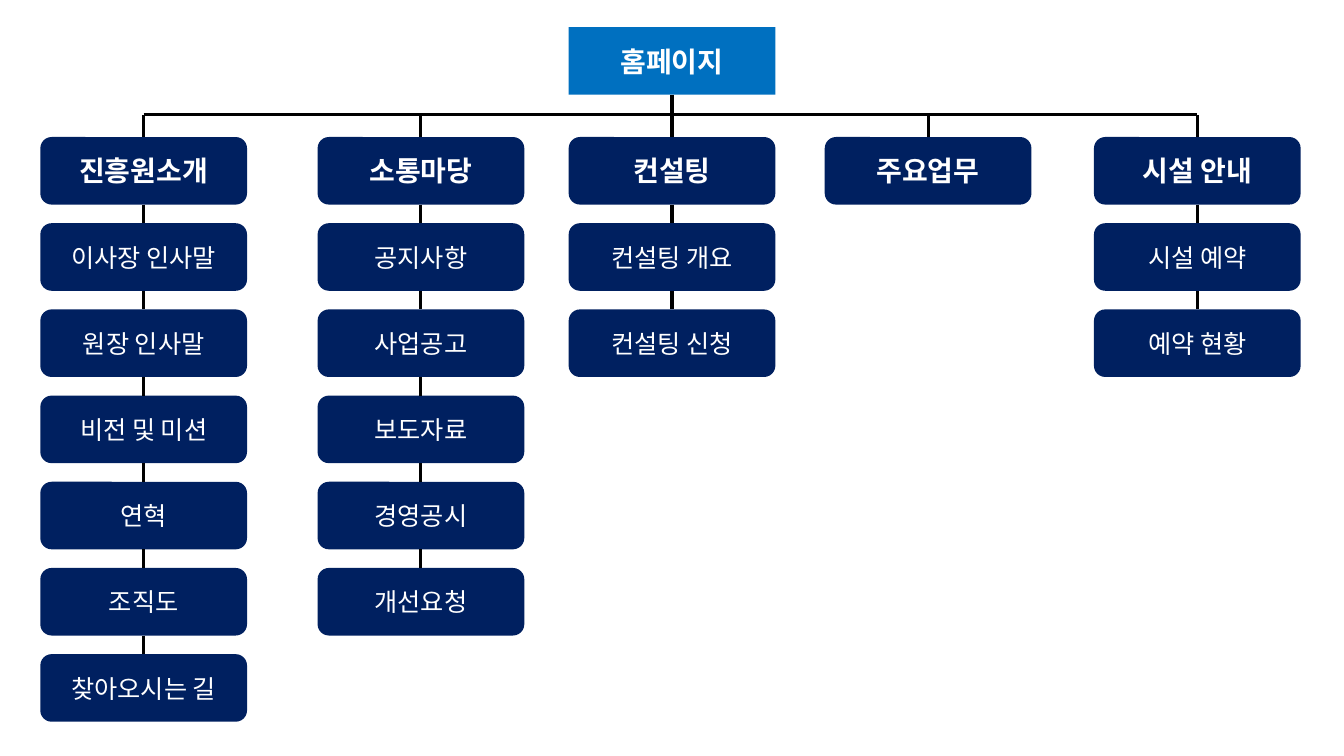
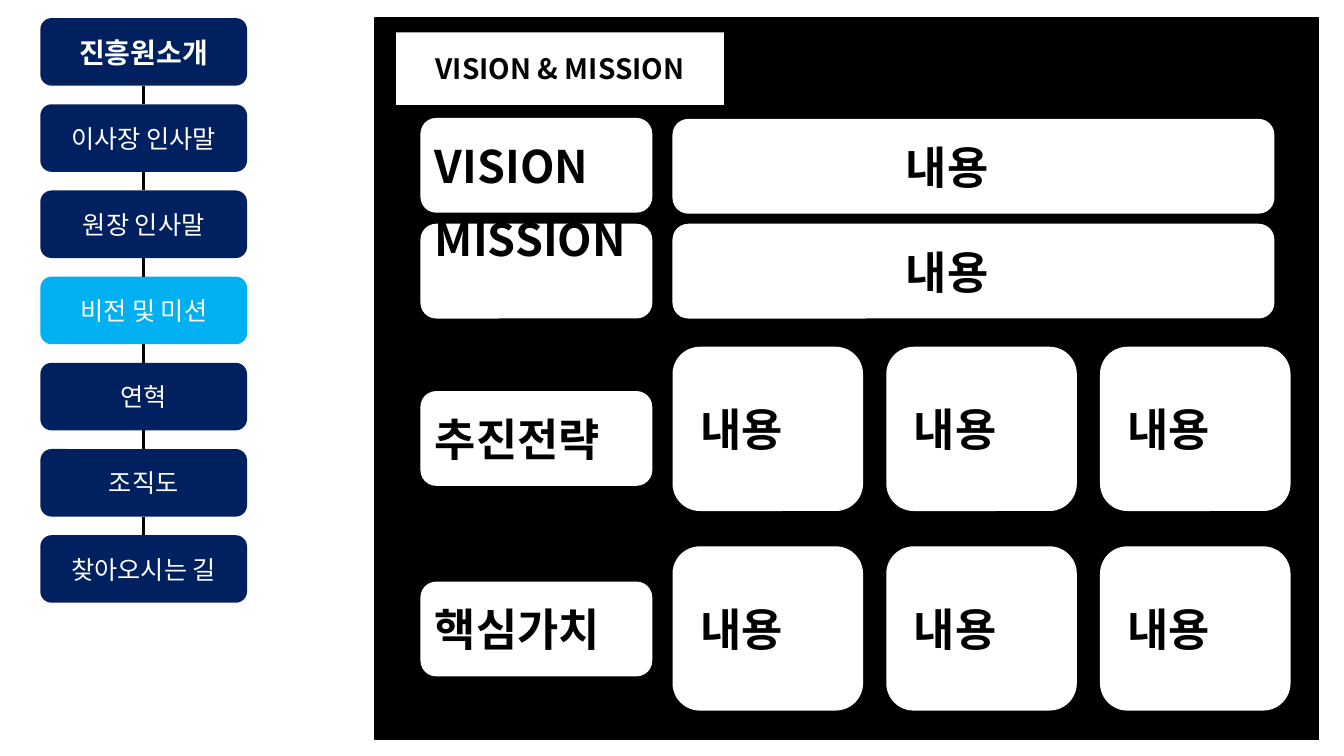
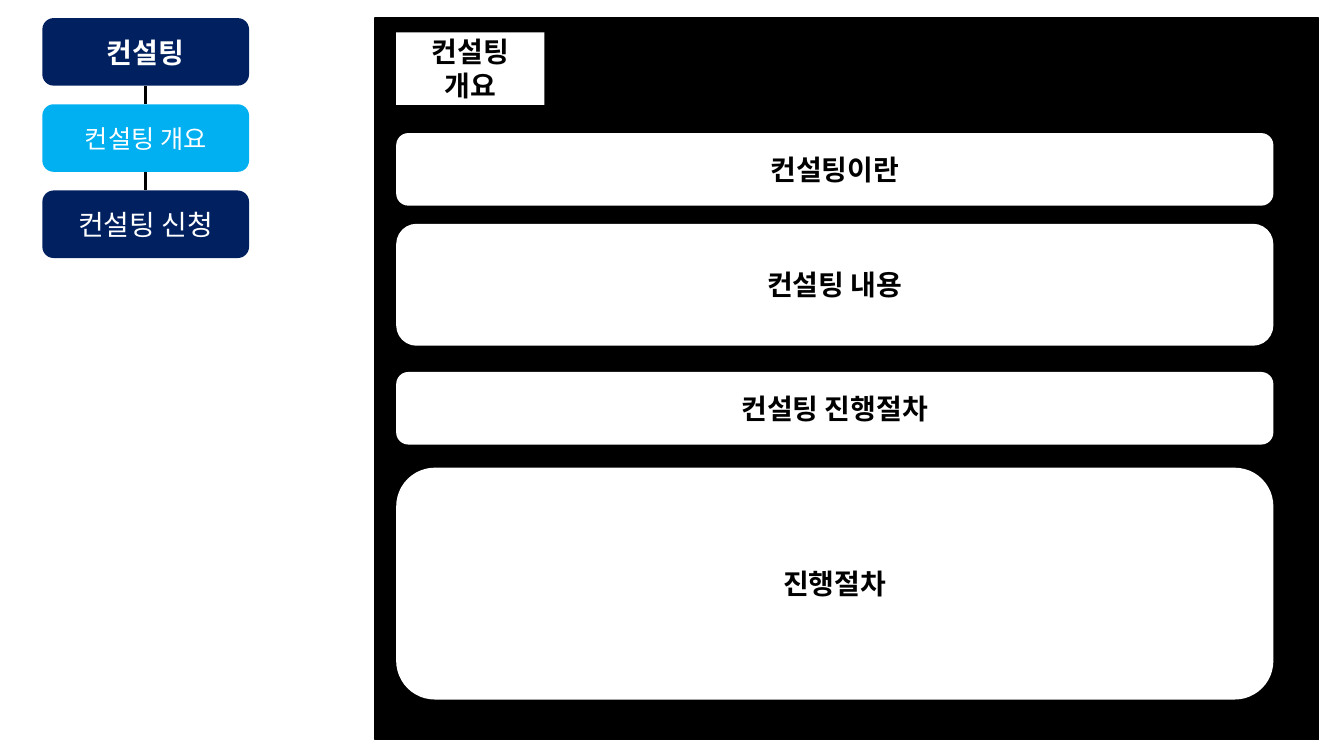
from pptx import Presentation
from pptx.dml.color import RGBColor
from pptx.enum.shapes import MSO_CONNECTOR as CONN, MSO_SHAPE as SHAPE
from pptx.enum.text import MSO_ANCHOR, MSO_AUTO_SIZE, PP_ALIGN
from pptx.oxml.ns import qn
from pptx.util import Inches, Pt
from lxml.etree import SubElement

FONT = "Noto Sans CJK KR"
NAVY = RGBColor(0x00, 0x20, 0x60)
BLUE = RGBColor(0x00, 0x70, 0xC0)
SKY = RGBColor(0x00, 0xB0, 0xF0)
WHITE = RGBColor(0xFF, 0xFF, 0xFF)
BLACK = RGBColor(0x00, 0x00, 0x00)

HOME = "홈페이지"
MENUS = {
    "진흥원소개": ["이사장 인사말", "원장 인사말", "비전 및 미션", "연혁", "조직도", "찾아오시는 길"],
    "소통마당": ["공지사항", "사업공고", "보도자료", "경영공시", "개선요청"],
    "컨설팅": ["컨설팅 개요", "컨설팅 신청"],
    "주요업무": [],
    "시설 안내": ["시설 예약", "예약 현황"],
}
MENU_LEFTS = [0.4, 3.15, 5.64, 8.18, 10.85]
MENU_W, MENU_H = 2.05, 0.67
MENU_PITCH = 5.13 / 6  # seven boxes reach from 1.36 to 6.49
MAP_TOP, BUS_Y = 1.36, 1.14
SIDE_TOP = 0.18

# Vision page: label, top
LABELS = [("VISION", 1.17), ("MISSION", 2.22), ("추진전략", 3.88), ("핵심가치", 5.77)]
CONTENT = "내용"
WIDE_TOPS = [1.18, 2.22]
CARD_TOPS = [3.44, 5.42]
CARD_LEFT, CARD_PITCH = 6.67, 2.12

# Consulting page: text, top, height
SECTIONS = [
    ("컨설팅이란", 1.32, 0.72),
    ("컨설팅 내용", 2.22, 1.21),
    ("컨설팅 진행절차", 3.69, 0.72),
    ("진행절차", 4.64, 2.3),
]


def style_box(box, text, fill, color, size, bold):
    box.fill.solid()
    box.fill.fore_color.rgb = fill
    box.line.fill.background()
    tf = box.text_frame
    tf.auto_size = MSO_AUTO_SIZE.NONE
    tf.word_wrap = True
    tf.vertical_anchor = MSO_ANCHOR.MIDDLE
    tf.text = text
    p = tf.paragraphs[0]
    p.alignment = PP_ALIGN.CENTER
    font = p.runs[0].font
    font.name, font.size, font.bold = FONT, Pt(size), bold
    font.color.rgb = color
    SubElement(p.runs[0]._r.rPr, qn("a:ea"), typeface=FONT)
    return box


def add_box(s, text, x, y, w, h, fill=WHITE, color=BLACK, size=20, bold=True):
    box = s.shapes.add_shape(SHAPE.ROUNDED_RECTANGLE, Inches(x), Inches(y), Inches(w), Inches(h))
    box.shadow.inherit = False
    return style_box(box, text, fill, color, size, bold)


def add_title(s, text, x, y, w, h, fill=WHITE, color=BLACK):
    """Turn the title placeholder into a rounded box in front of the panel."""
    title = s.shapes.title
    title.left, title.top, title.width, title.height = map(Inches, (x, y, w, h))
    geometry = SubElement(title._element.spPr, qn("a:prstGeom"), prst="roundRect")
    SubElement(geometry, qn("a:avLst"))
    s.shapes._spTree.append(title._element)
    return style_box(title, text, fill, color, 20, True)


def add_line(s, x1=0, y1=0, x2=0, y2=0):
    line = s.shapes.add_connector(CONN.STRAIGHT, Inches(x1), Inches(y1), Inches(x2), Inches(y2))
    line.line.color.rgb = BLACK
    line.line.width = Pt(2.25)
    SubElement(line._element.spPr, qn("a:effectLst"))
    return line


def add_menu(s, head, x, top, active=None, sizes=None):
    """Draw a menu column with linked boxes and return its head box."""
    boxes = []
    for i, text in enumerate([head] + MENUS[head]):
        size = (sizes or {}).get(text, 18 if i else 20)
        box = add_box(s, text, x, top + i * MENU_PITCH, MENU_W, MENU_H,
                      SKY if text == active else NAVY, WHITE, size, i == 0)
        boxes.append(box)
    for upper, lower in zip(boxes, boxes[1:]):
        line = add_line(s)
        line.begin_connect(upper, 2)
        line.end_connect(lower, 0)
    return boxes[0]


def add_panel(s):
    panel = s.shapes.add_shape(SHAPE.RECTANGLE, Inches(3.72), Inches(0.18), Inches(9.36), Inches(7.16))
    panel.shadow.inherit = False
    panel.fill.solid()
    panel.fill.fore_color.rgb = BLACK
    panel.line.color.rgb = BLACK
    panel.line.width = Pt(1)


def build_site_map(s):
    home = add_title(s, HOME, 5.64, 0.27, MENU_W, MENU_H, BLUE, WHITE)
    centers = [x + MENU_W / 2 for x in MENU_LEFTS]
    add_line(s, centers[0], BUS_Y, centers[-1], BUS_Y)
    for head, x, center in zip(MENUS, MENU_LEFTS, centers):
        box = add_menu(s, head, x, MAP_TOP)
        add_line(s, center, BUS_Y, center, MAP_TOP).end_connect(box, 0)
    trunk = add_line(s, centers[2], MAP_TOP, centers[2], BUS_Y)
    trunk.begin_connect(home, 2)


def build_vision(s):
    add_menu(s, "진흥원소개", 0.4, SIDE_TOP, active="비전 및 미션")
    add_panel(s)
    add_title(s, "VISION & MISSION", 3.93, 0.32, 3.25, 0.72)
    for text, top in LABELS:
        label = add_box(s, text, 4.17, top, 2.3, 0.94, size=32)
        label.text_frame.paragraphs[0].alignment = PP_ALIGN.LEFT
        if text == "MISSION":
            label.text_frame.margin_bottom = Inches(0.69)
    wide = [(CARD_LEFT, top, 5.97, 0.94) for top in WIDE_TOPS]
    cards = [(CARD_LEFT + i * CARD_PITCH, top, 1.89, 1.63) for top in CARD_TOPS for i in range(3)]
    for place in wide + cards:
        box = add_box(s, CONTENT, *place, size=32)
        box.text_frame.margin_right = Inches(0.62)


def build_consulting(s):
    add_menu(s, "컨설팅", 0.42, SIDE_TOP, active="컨설팅 개요", sizes={"컨설팅 신청": 20})
    add_panel(s)
    add_title(s, "컨설팅 개요", 3.93, 0.32, 1.47, 0.72)
    for text, top, height in SECTIONS:
        add_box(s, text, 3.93, top, 8.7, height)


def main():
    prs = Presentation()
    prs.slide_width, prs.slide_height = Inches(13.33), Inches(7.5)
    for build in (build_site_map, build_vision, build_consulting):
        build(prs.slides.add_slide(prs.slide_layouts[5]))
    prs.save("out.pptx")


if __name__ == "__main__":
    main()
